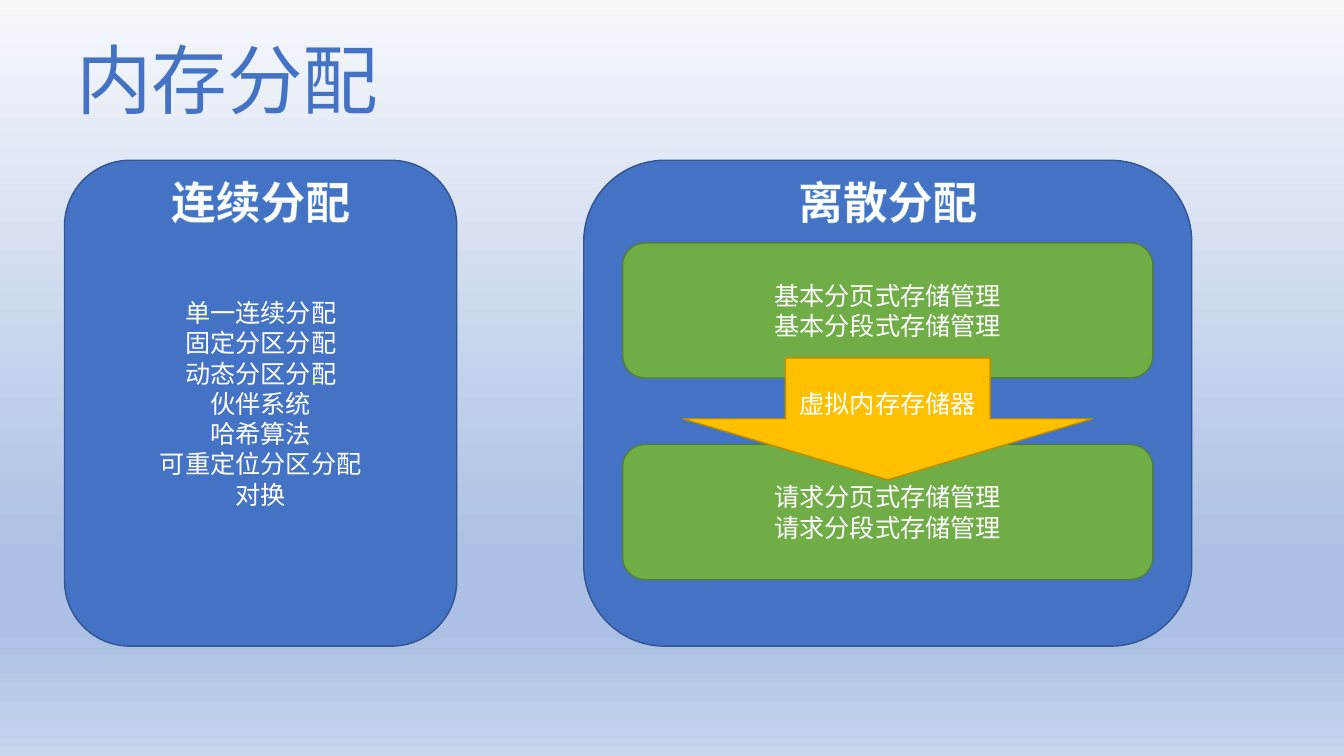
from lxml import etree
from pptx import Presentation
from pptx.dml.color import RGBColor
from pptx.enum.shapes import MSO_SHAPE
from pptx.enum.text import MSO_ANCHOR, MSO_AUTO_SIZE, PP_ALIGN
from pptx.oxml.ns import qn
from pptx.util import Inches, Pt

ROUNDED = MSO_SHAPE.ROUNDED_RECTANGLE
DOWN_ARROW = MSO_SHAPE.DOWN_ARROW
MIDDLE = MSO_ANCHOR.MIDDLE
CENTER = PP_ALIGN.CENTER
FIT_TEXT = MSO_AUTO_SIZE.SHAPE_TO_FIT_TEXT

# Content
TITLE = "内存分配"
CONTIGUOUS_TITLE = "连续分配"
CONTIGUOUS = ["单一连续分配", "固定分区分配", "动态分区分配", "伙伴系统",
              "哈希算法", "可重定位分区分配", "对换"]
DISCRETE_TITLE = "离散分配"
STAGES = [["基本分页式存储管理", "基本分段式存储管理"],
          ["请求分页式存储管理", "请求分段式存储管理"]]
VIRTUAL_MEMORY = ["虚拟内存存储器"]

# Style
FONT = "Noto Sans CJK SC"
BLUE, WHITE, OUTLINE = "4472C4", "FFFFFF", "5B9BD5"
BLUE_STYLE = (BLUE, "325491")
GREEN_STYLE = ("70AD47", "538035")
GOLD_STYLE = ("FFC000", "BD8E00")
BACKGROUND_STOPS = [(0, "F6F8FC"), (74, "ABC0E4"), (83, "ABC0E4"), (100, "C7D5ED")]

# Layout in inches
PANEL_TOP, PANEL_HEIGHT = 1.59, 4.82
CONTIGUOUS_LEFT, CONTIGUOUS_WIDTH = 0.64, 3.89
DISCRETE_LEFT, DISCRETE_WIDTH = 5.79, 6.03
HEADING_TOP, HEADING_WIDTH, HEADING_HEIGHT = 1.68, 2, 0.64
STAGE_TOP, STAGE_STEP, STAGE_WIDTH, STAGE_HEIGHT = 2.41, 2, 5.26, 1.34
ARROW_TOP, ARROW_WIDTH, ARROW_HEIGHT = 3.55, 4.06, 1.21

presentation = Presentation()
presentation.slide_width = Inches(13.33)
presentation.slide_height = Inches(7.5)
slide = presentation.slides.add_slide(presentation.slide_layouts[6])


def color(value):
    return RGBColor.from_string(value)


def add_solid_fill(parent, value):
    fill = etree.SubElement(parent, qn("a:solidFill"))
    etree.SubElement(fill, qn("a:srgbClr"), val=value)


def write(frame, lines, size, font_color, bold=False):
    for index, line in enumerate(lines):
        paragraph = frame.add_paragraph() if index else frame.paragraphs[0]
        paragraph.text = line
        paragraph.alignment = CENTER
        font = paragraph.font
        font.name, font.size, font.bold = FONT, Pt(size), bold
        font.color.rgb = color(font_color)
        # East Asian glyphs take their own font entry
        properties = paragraph.runs[0].font
        properties.name = FONT
        run_properties = paragraph.runs[0]._r.get_or_add_rPr()
        etree.SubElement(run_properties, qn("a:ea"), typeface=FONT)


def add_box(kind, left, top, width, height, style, lines=()):
    shape = slide.shapes.add_shape(
        kind, Inches(left), Inches(top), Inches(width), Inches(height))
    fill_color, line_color = style
    shape.shadow.inherit = False
    shape.fill.solid()
    shape.fill.fore_color.rgb = color(fill_color)
    shape.line.color.rgb = color(line_color)
    shape.line.width = Pt(1)
    shape.text_frame.vertical_anchor = MIDDLE
    write(shape.text_frame, lines, 18, WHITE)


def add_label(text, left, top, width, height, size, font_color, bold=False):
    box = slide.shapes.add_textbox(
        Inches(left), Inches(top), Inches(width), Inches(height))
    frame = box.text_frame
    frame.word_wrap = False
    frame.auto_size = FIT_TEXT
    write(frame, [text], size, font_color, bold)
    return frame.paragraphs[0].runs[0]


def add_heading(text, center):
    run = add_label(text, center - HEADING_WIDTH / 2, HEADING_TOP,
                    HEADING_WIDTH, HEADING_HEIGHT, 32, WHITE, bold=True)
    # Thin text outline
    outline = etree.Element(qn("a:ln"), w=str(Pt(0.8)))
    add_solid_fill(outline, OUTLINE)
    run._r.get_or_add_rPr().insert(0, outline)


# Background gradient, top to bottom
background = slide.background.fill
background.gradient()
background.gradient_angle = 270
stops = slide.element.find(".//" + qn("a:gsLst"))
for stop in list(stops):
    stops.remove(stop)
for position, value in BACKGROUND_STOPS:
    stop = etree.SubElement(stops, qn("a:gs"), pos=str(position * 1000))
    etree.SubElement(stop, qn("a:srgbClr"), val=value)

# Panels and headings
contiguous_center = CONTIGUOUS_LEFT + CONTIGUOUS_WIDTH / 2
discrete_center = DISCRETE_LEFT + DISCRETE_WIDTH / 2
add_box(ROUNDED, CONTIGUOUS_LEFT, PANEL_TOP, CONTIGUOUS_WIDTH, PANEL_HEIGHT,
        BLUE_STYLE, CONTIGUOUS)
add_box(ROUNDED, DISCRETE_LEFT, PANEL_TOP, DISCRETE_WIDTH, PANEL_HEIGHT, BLUE_STYLE)
add_label(TITLE, CONTIGUOUS_LEFT, 0.28, 3.23, 1.01, 54, BLUE)
add_heading(CONTIGUOUS_TITLE, contiguous_center)
add_heading(DISCRETE_TITLE, discrete_center)

# Stages of discrete allocation, joined by the arrow
for index, lines in enumerate(STAGES):
    add_box(ROUNDED, discrete_center - STAGE_WIDTH / 2, STAGE_TOP + index * STAGE_STEP,
            STAGE_WIDTH, STAGE_HEIGHT, GREEN_STYLE, lines)
add_box(DOWN_ARROW, discrete_center - ARROW_WIDTH / 2, ARROW_TOP,
        ARROW_WIDTH, ARROW_HEIGHT, GOLD_STYLE, VIRTUAL_MEMORY)

presentation.save("out.pptx")
